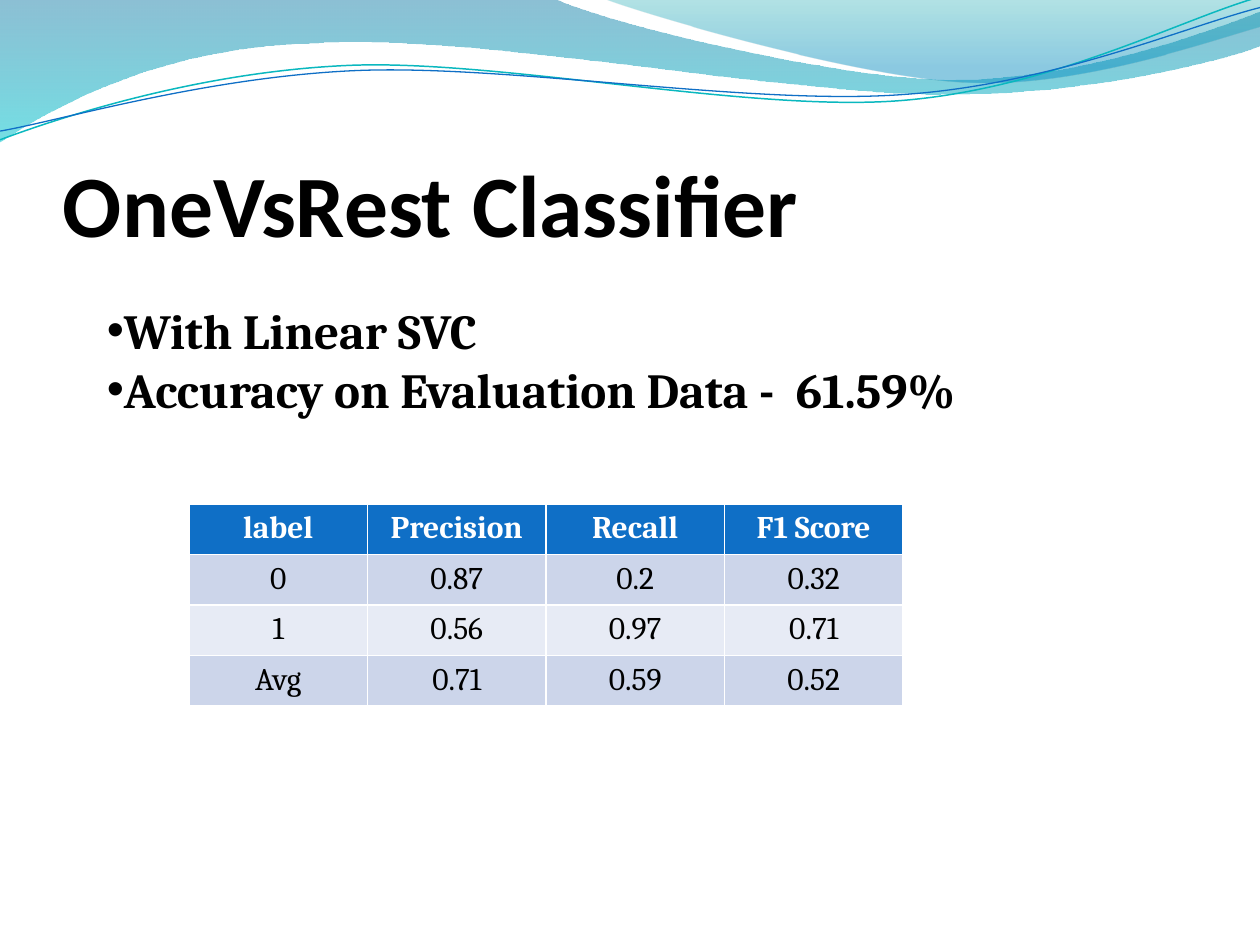
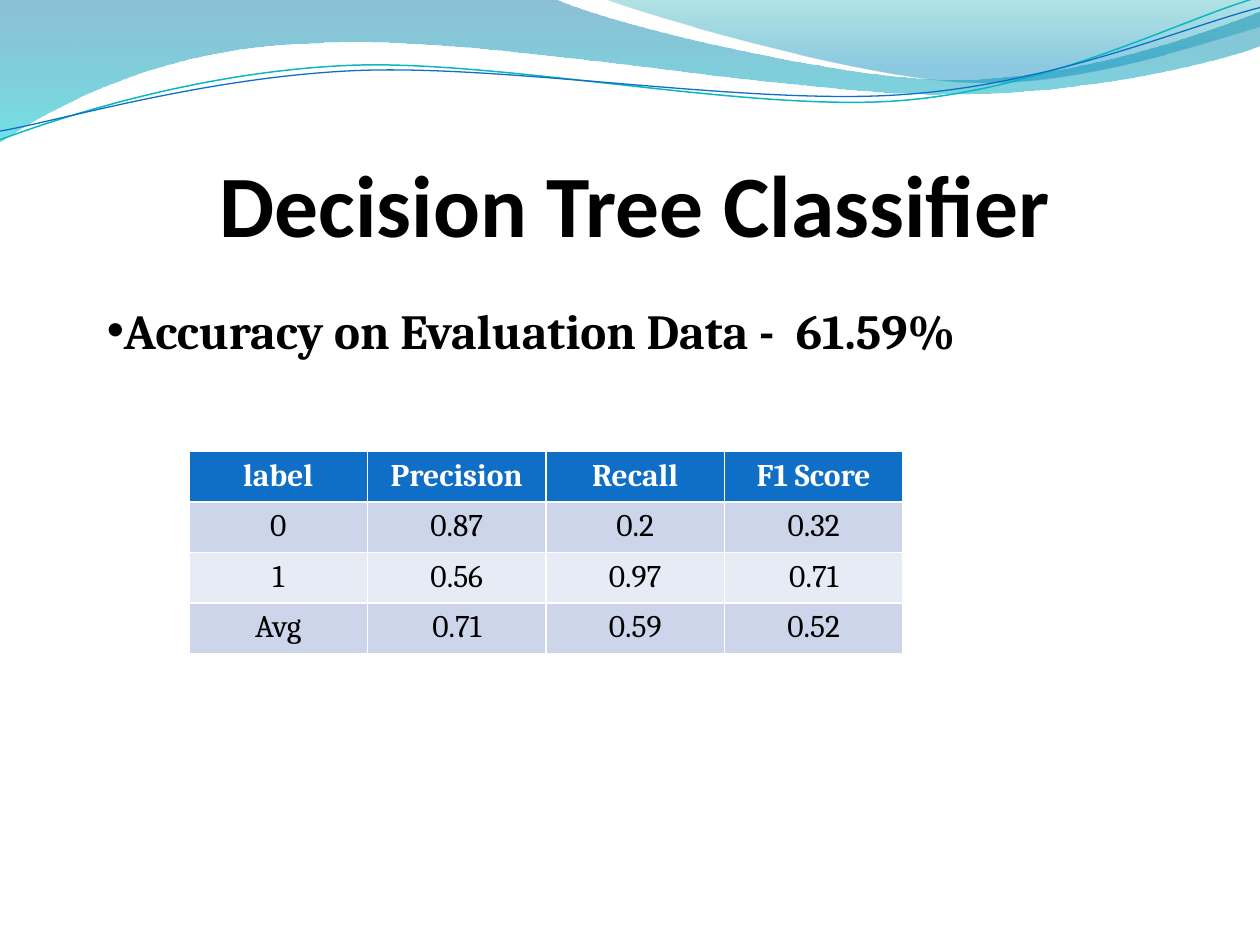
from lxml.etree import SubElement
from pptx import Presentation
from pptx.dml.color import RGBColor
from pptx.enum.text import MSO_ANCHOR, PP_ALIGN
from pptx.oxml import parse_xml
from pptx.oxml.ns import nsdecls, qn
from pptx.util import Pt

BLACK = RGBColor(0x00, 0x00, 0x00)
WHITE = RGBColor(0xFF, 0xFF, 0xFF)
BLUE = RGBColor(0x0F, 0x6F, 0xC6)
TEAL = RGBColor(0x0A, 0xB8, 0xBF)
BAND_DARK = RGBColor(0xCC, 0xD5, 0xEA)
BAND_LIGHT = RGBColor(0xE7, 0xEB, 0xF5)
# Gradient stops: position %, colour, opacity %
WIDE_WAVE_STOPS = [(0, RGBColor(0x00, 0x74, 0xA1), 45), (100, RGBColor(0x00, 0xC6, 0xCF), 55)]
RIGHT_WAVE_STOPS = [(0, RGBColor(0x00, 0xA1, 0xA9), 30), (80, RGBColor(0x00, 0x8B, 0xBF), 45)]

TITLE_FONT, BODY_FONT = "Calibri", "Cambria"

# Outlines in points: each step lists its end point, after two handles if it curves
WIDE_WAVE = [
    [(0, 0)], [(316.8, -0.7)],
    [(342.7, 12.2), (478.1, 45.4), (545.8, 45.4)],
    [(614.2, 45.4), (689.8, 18.7), (720, 6.5)],
    [(720.7, 25.9)],
    [(707.8, 31.7), (626.4, 54.7), (537.1, 54)],
    [(447.8, 54), (275, 20.2), (185, 24.5)],
    [(92.9, 25.9), (33.1, 59.8), (-0.7, 81.4)],
    [(0, 0)],
]
RIGHT_WAVE = [
    [(344.9, -0.7)],
    [(366.5, 7.9), (491, 44.6), (553.7, 46.8)],
    [(616.3, 49.7), (691.9, 23), (720, 15.1)],
    [(720, 0)],
    [(344.9, -0.7)],
]
TEAL_LINE = [
    [(0, 79.9)],
    [(34.6, 67), (113.8, 41), (199.4, 37.4)],
    [(284.4, 33.8), (427, 64.1), (513.4, 57.6)],
    [(599.8, 51.1), (675.4, 10.8), (718.6, -1.4)],
]
BLUE_LINE = [
    [(0, 74.9)],
    [(33.8, 69.1), (118.1, 43.9), (203.8, 40.3)],
    [(290.2, 36.7), (429.8, 60.5), (516.2, 54)],
    [(601.9, 48.2), (677.5, 15.1), (720, 4.3)],
]

TITLE_BOX = (36, 55.5, 654, 90)
BULLET_BOX = (54, 168, 564, 41)
BULLET_STEP = 34
SCORE_LEFT, SCORE_WIDTH = 108, 408
SCORES = [
    ["label", "Precision", "Recall", "F1 Score"],
    ["0", "0.87", "0.2", "0.32"],
    ["1", "0.56", "0.97", "0.71"],
    ["Avg", "0.71", "0.59", "0.52"],
]
ACCURACY = "Accuracy on Evaluation Data -  61.59%"


def style_text(paragraph, font_name, size, color, bold):
    for run in paragraph.runs:
        run.font.name = font_name
        run.font.size = Pt(size)
        run.font.color.rgb = color
        run.font.bold = bold


def draw_outline(slide, outline, close):
    """Build a freeform through the end points, then bend its curved steps."""
    ends = [(Pt(step[-1][0]), Pt(step[-1][1])) for step in outline]
    builder = slide.shapes.build_freeform(*ends[0], scale=1.0)
    builder.add_line_segments(ends[1:], close=close)
    shape = builder.convert_to_shape()
    shape.shadow.inherit = False
    segments = list(shape.element.iter(qn("a:lnTo")))
    for step, segment in zip(outline[1:], segments):
        if len(step) == 3:
            curve = SubElement(segment.getparent(), qn("a:cubicBezTo"))
            for x, y in step:
                SubElement(curve, qn("a:pt"), x=str(Pt(x) - shape.left),
                           y=str(Pt(y) - shape.top))
            segment.getparent().replace(segment, curve)
    return shape


def draw_wave(slide, outline, stops):
    wave = draw_outline(slide, outline, close=True)
    wave.line.fill.background()
    wave.fill.background()
    stop_xml = "".join(
        f'<a:gs pos="{pos * 1000}"><a:srgbClr val="{color}">'
        f'<a:alpha val="{opacity * 1000}"/></a:srgbClr></a:gs>'
        for pos, color, opacity in stops)
    gradient = parse_xml(f'<a:gradFill {nsdecls("a")} rotWithShape="1"><a:gsLst>{stop_xml}'
                         '</a:gsLst><a:lin ang="5400000" scaled="0"/></a:gradFill>')
    properties = wave.element.spPr
    properties.replace(properties.find(qn("a:noFill")), gradient)
    return wave


def draw_wave_line(slide, outline, color, width):
    wave_line = draw_outline(slide, outline, close=False)
    wave_line.fill.background()
    wave_line.line.color.rgb = color
    wave_line.line.width = Pt(width)
    return wave_line


def add_header_waves(slide, layout):
    """Draw the wave header and hand it to the layout that all slides share."""
    for placeholder in list(layout.placeholders):
        placeholder.element.getparent().remove(placeholder.element)
    header = [
        draw_wave(slide, WIDE_WAVE, WIDE_WAVE_STOPS),
        draw_wave(slide, RIGHT_WAVE, RIGHT_WAVE_STOPS),
        draw_wave_line(slide, TEAL_LINE, TEAL, 0.85),
        draw_wave_line(slide, BLUE_LINE, BLUE, 0.75),
    ]
    for part in header:
        layout.element.cSld.spTree.append(part.element)


def add_title(slide, box, title, align):
    frame = slide.shapes.add_textbox(*map(Pt, box)).text_frame
    frame.word_wrap = True
    frame.vertical_anchor = MSO_ANCHOR.BOTTOM
    frame.margin_left = frame.margin_right = frame.margin_bottom = 0
    frame.margin_top = Pt(3.6)
    frame.text = title
    frame.paragraphs[0].alignment = align
    style_text(frame.paragraphs[0], TITLE_FONT, 50, BLACK, True)


def add_bullets(slide, box, points):
    frame = slide.shapes.add_textbox(*map(Pt, box)).text_frame
    frame.word_wrap = True
    frame.text = "\n".join(points)
    for paragraph in frame.paragraphs:
        style_text(paragraph, BODY_FONT, 28, BLACK, True)
        properties = paragraph._p.get_or_add_pPr()
        SubElement(properties, qn("a:buFont"), typeface="Arial")
        SubElement(properties, qn("a:buChar"), char="•")


def add_score_table(slide, box, rows):
    """The table style draws the white grid and the thick rule below the header."""
    table = slide.shapes.add_table(len(rows), len(rows[0]), *map(Pt, box)).table
    for column in table.columns:
        column.width = Pt(box[2] / len(rows[0]))
    for r, values in enumerate(rows):
        is_header = r == 0
        table.rows[r].height = Pt(23 if is_header else 24)
        fill = BLUE if is_header else BAND_DARK if r % 2 else BAND_LIGHT
        for c, value in enumerate(values):
            cell = table.cell(r, c)
            cell.text = value
            cell.fill.solid()
            cell.fill.fore_color.rgb = fill
            paragraph = cell.text_frame.paragraphs[0]
            paragraph.alignment = PP_ALIGN.CENTER
            style_text(paragraph, BODY_FONT, 18, WHITE if is_header else BLACK, is_header)


def add_classifier_slide(slide, title, align, points, score_top):
    left, top, width, height = BULLET_BOX
    add_title(slide, TITLE_BOX, title, align)
    add_score_table(slide, (SCORE_LEFT, score_top, SCORE_WIDTH, 115), SCORES)
    add_bullets(slide, (left, top, width, height + BULLET_STEP * (len(points) - 1)), points)


prs = Presentation()
prs.slide_width, prs.slide_height = Pt(720), Pt(540)
blank = prs.slide_layouts[6]
one_vs_rest = prs.slides.add_slide(blank)
decision_tree = prs.slides.add_slide(blank)

add_header_waves(one_vs_rest, blank)
add_classifier_slide(one_vs_rest, "OneVsRest Classifier", PP_ALIGN.LEFT,
                     ["With Linear SVC", ACCURACY], 288)
add_classifier_slide(decision_tree, "Decision Tree Classifier", PP_ALIGN.CENTER,
                     [ACCURACY], 258)

prs.save("out.pptx")
